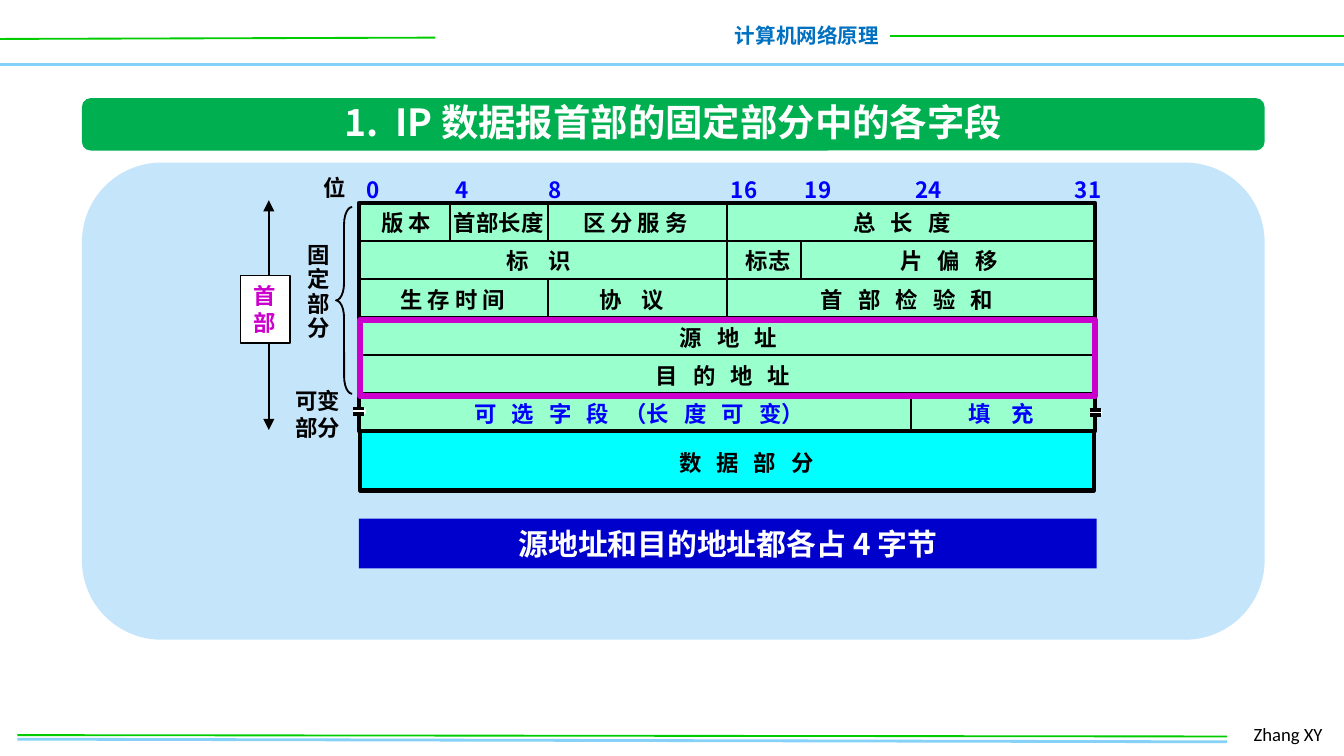
from lxml.etree import SubElement
from pptx import Presentation
from pptx.dml.color import RGBColor as Rgb
from pptx.enum.shapes import MSO_CONNECTOR as Link, MSO_SHAPE as Kind
from pptx.enum.text import MSO_ANCHOR as Anchor, MSO_AUTO_SIZE as Fit, PP_ALIGN as Align
from pptx.oxml.ns import qn
from pptx.util import Inches, Pt

HUE = {
    "black": "000000", "white": "FFFFFF", "sky": "85D1F7", "lime": "00CC00",
    "head": "0070C0", "title": "00B050", "panel": "C5E5FB", "mint": "99FFCC",
    "cyan": "00FFFF", "blue": "0000FF", "navy": "0000CC", "pink": "CC00CC",
}
CJK = "Noto Sans CJK SC"

deck = Presentation()
deck.slide_width, deck.slide_height = Inches(10), Inches(10 * 9 / 16)
slide = deck.slides.add_slide(deck.slide_layouts[6])


def put(kind, x, y, w, h, fill=None, edge=None, wide=1, lines=(), size=12,
        hue="black", align=Align.LEFT, gap=0, font=CJK, lead=None, wrap=False):
    """Add a preset shape, or a text box if kind is None.

    A line is a string, or a list of (words, letter gap) runs.
    """
    spot = [Inches(v) for v in (x, y, w, h)]
    if kind is None:
        item = slide.shapes.add_textbox(*spot)
    else:
        item = slide.shapes.add_shape(kind, *spot)
        item.shadow.inherit = False
        if fill:
            item.fill.solid()
            item.fill.fore_color.rgb = Rgb.from_string(HUE[fill])
        else:
            item.fill.background()
        if edge:
            item.line.color.rgb = Rgb.from_string(HUE[edge])
            item.line.width = Pt(wide)
        else:
            item.line.fill.background()
    if not lines:
        return item
    frame = item.text_frame
    frame.word_wrap = wrap
    frame.auto_size = Fit.SHAPE_TO_FIT_TEXT if kind is None else Fit.NONE
    frame.vertical_anchor = Anchor.TOP if kind is None else Anchor.MIDDLE
    for i, line in enumerate(lines):
        para = frame.add_paragraph() if i else frame.paragraphs[0]
        para.alignment = align
        if lead:
            para.line_spacing = lead
        for words, space in [(line, gap)] if isinstance(line, str) else line:
            run = para.add_run()
            run.text = words
            run.font.size, run.font.bold, run.font.name = Pt(size), font == CJK, font
            run.font.color.rgb = Rgb.from_string(HUE[hue])
            props = run.font._element
            SubElement(props, qn("a:ea")).set("typeface", font)
            if space:
                props.set("spc", str(round(space * 100)))
    return item


def rule(x1, y1, x2, y2, hue="black", wide=1, heads=False):
    """Add a straight line, with arrowheads at both ends if asked."""
    item = slide.shapes.add_connector(
        Link.STRAIGHT, Inches(x1), Inches(y1), Inches(x2), Inches(y2))
    item.line.color.rgb = Rgb.from_string(HUE[hue])
    item.line.width = Pt(wide)
    if heads:
        for end in ("a:headEnd", "a:tailEnd"):
            SubElement(item.line._get_or_add_ln(), qn(end)).set("type", "triangle")
    SubElement(item._element.spPr, qn("a:effectLst"))
    return item


# Header and footer
rule(0, 0.48, 10, 0.48, "sky", 2)
rule(0, 0.29, 3.24, 0.28, "lime")
put(None, 5.36, 0.12, 1.28, 0.29, lines=["计算机网络原理"], size=11, hue="head", align=Align.RIGHT)
rule(6.62, 0.27, 10, 0.27, "lime")
rule(0.13, 5.5, 9.13, 5.52, "sky", 1.5)
put(None, 9.23, 5.33, 0.74, 0.27, lines=["Zhang XY"], size=10, font="Calibri", wrap=True)
rule(0.13, 5.47, 9.13, 5.48, "lime")

# Title and panel
put(Kind.ROUNDED_RECTANGLE, 0.61, 0.73, 8.8, 0.39, "title")
put(None, 2.37, 0.69, 5.28, 0.44, size=20, hue="white", align=Align.CENTER,
    lines=[[("1.", 0), (" ", 4.5), ("IP 数据报首部的固定部分中的各字段", 0)]])
put(Kind.ROUNDED_RECTANGLE, 0.61, 1.21, 8.8, 3.55, "panel")

# Header grid: six rows, columns split at bit positions
LEFT, TOP, WIDE, ROW = 2.67, 1.51, 5.48, 1.7 / 6
EDGE = {0: LEFT, 4: 3.35, 8: 4.08, 16: 5.41, 19: 5.96, 24: 6.78, 31: LEFT + WIDE}
grid = put(Kind.RECTANGLE, LEFT, TOP, WIDE, 6 * ROW, "mint", "black", 2)
put(Kind.RECTANGLE, LEFT + 0.01, TOP + 6 * ROW, WIDE - 0.02, 0.44, "cyan", "black", 2.25)
for row in range(1, 6):
    y = TOP + row * ROW
    line = rule(LEFT, y, LEFT + WIDE, y)
    if row == 3:
        line.begin_connect(grid, 1)
        line.end_connect(grid, 3)
for bit, top, end in [(4, 0, 1), (8, 0, 1), (8, 2, 3), (16, 0, 3), (19, 1, 2), (24, 5, 6)]:
    rule(EDGE[bit], TOP + top * ROW, EDGE[bit], TOP + end * ROW)

# Bit numbers
NUDGE = {0: 0.04, 4: 0.06, 8: 0.1, 31: 0.25}
for bit, x in EDGE.items():
    put(None, x - NUDGE.get(bit, 0.07), 1.26, 0.3 if bit < 10 else 0.41, 0.3,
        lines=[str(bit)], hue="blue")
put(None, 2.31, 1.25, 0.37, 0.3, lines=["位"])

# Field names: row, left, width, letter gap, words
OPTION = [("可 选 字 段 ", 2.7), ("（", 0), ("长 度 可 ", 2.7), ("变）", 0)]
FIELDS = [
    (0, 2.74, 0.59, 0, "版 本"), (0, 3.28, 0.87, 0, "首部长度"),
    (0, 4.24, 1.03, 0, "区 分 服 务"), (0, 6.25, 1.01, 2.7, "总 长 度"),
    (1, 3.67, 0.74, 4.05, "标 识"), (1, 5.45, 0.54, 0, "标志"),
    (1, 6.6, 1.01, 2.7, "片 偏 移"), (2, 2.88, 1.03, 0, "生 存 时 间"),
    (2, 4.36, 0.74, 4.05, "协 议"), (2, 6.01, 1.65, 2.7, "首 部 检 验 和"),
    (3, 4.96, 1.01, 2.7, "源 地 址"), (4, 4.78, 1.33, 2.7, "目 的 地 址"),
    (5, 3.43, 2.9, 0, OPTION), (5, 7.11, 0.74, 4.05, "填 充"),
]
for row, x, w, gap, words in FIELDS:
    put(None, x, TOP + row * ROW, w, 0.3, lines=[words], gap=gap,
        hue="blue" if row == 5 else "black")
put(None, 4.54, 3.29, 2.03, 0.3, lines=["数 据 部 分"], gap=2.7, align=Align.CENTER, wrap=True)

# Break marks on the variable row
for x, y in [(2.63, 3.04), (8.11, 3.05)]:
    put(Kind.RECTANGLE, x, y, 0.09, 0.04, "white")
    for drop in (0, 0.04):
        rule(x, y + drop, x + 0.08, y + drop, wide=2)

# Side notes, brace and span arrow
put(None, 2.19, 1.77, 0.37, 0.83, lines="固定部分", lead=0.9)
put(None, 2.1, 2.83, 0.54, 0.5, lines=["可变", "部分"])
brace = put(Kind.LEFT_BRACE, 2.5, 1.54, 0.12, 1.39, edge="black")
brace.adjustments[0] = 1.08
rule(2, 1.49, 2, 3.2, heads=True)
put(Kind.RECTANGLE, 1.79, 2.05, 0.37, 0.5, "white", "black", lines="首部", hue="pink")

# Conclusion and address highlight
put(Kind.RECTANGLE, LEFT, 3.86, WIDE + 0.01, 0.37, "navy", lines=["源地址和目的地址都各占 4 字节"],
    size=16, hue="white", align=Align.CENTER, wrap=True)
put(Kind.RECTANGLE, LEFT + 0.01, TOP + 3 * ROW + 0.02, WIDE - 0.01, 2 * ROW, edge="pink", wide=3)

deck.save("out.pptx")
